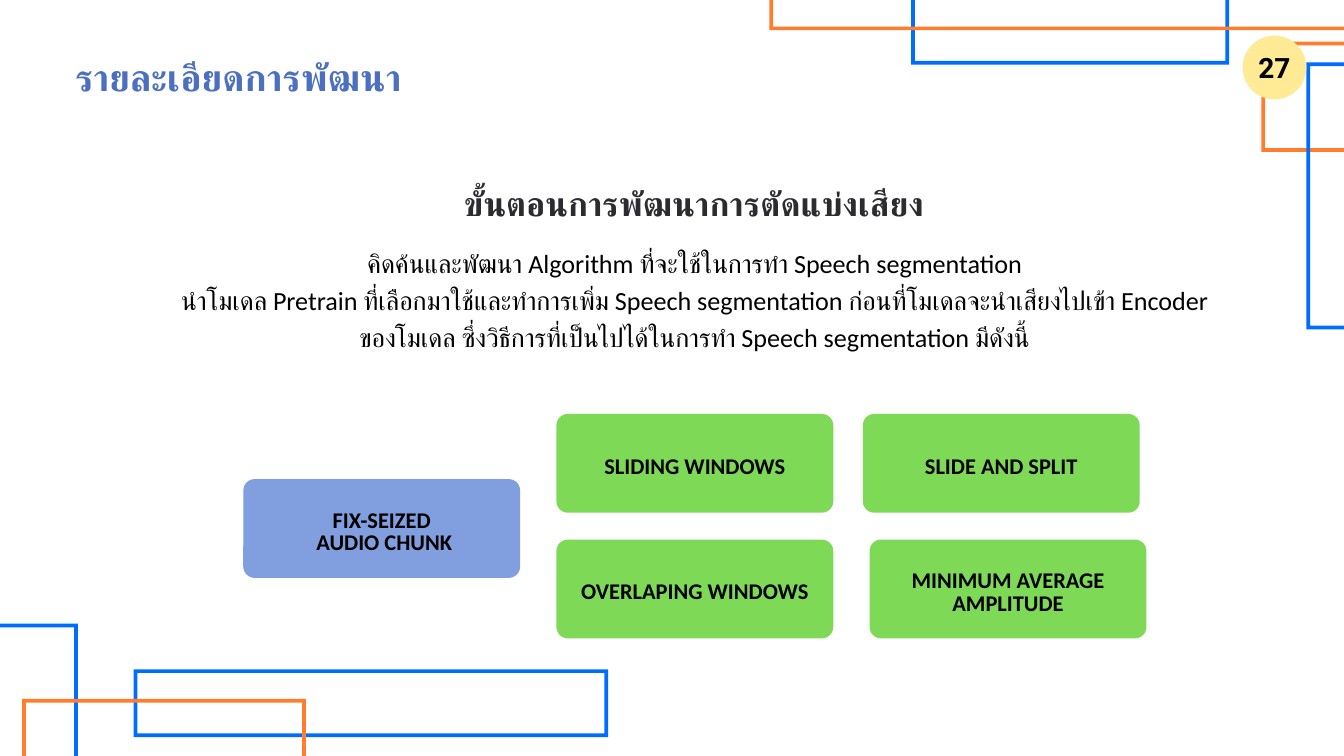
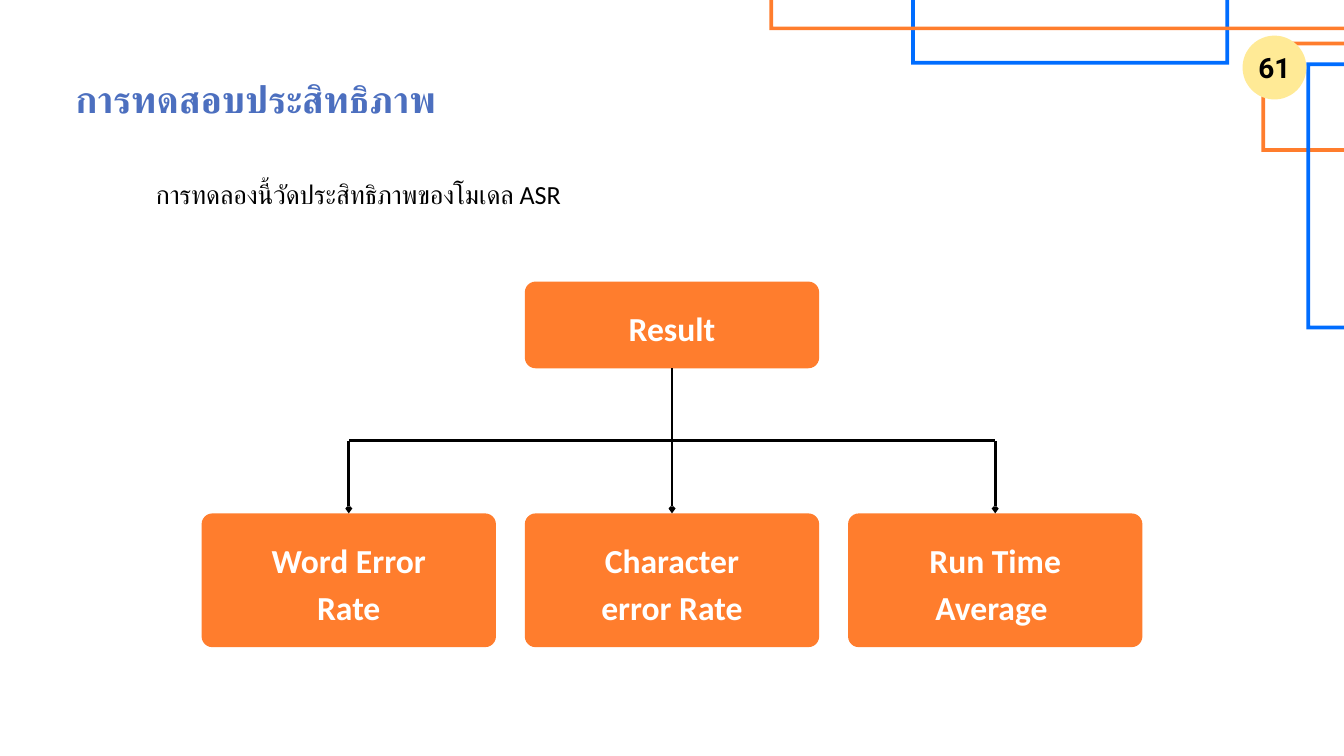
from lxml import etree
from pptx import Presentation
from pptx import util as u
from pptx.dml.color import RGBColor
from pptx.enum import shapes, text
from pptx.oxml.ns import qn

BLUE, ORANGE, YELLOW = "006DFF", "FF7D2D", "FFEA96"
GREEN, PERIWINKLE = "7ED957", "819EDF"
TITLE, HEADING, BLACK, WHITE = "4C6FBF", "2B2C30", "000000", "FFFFFF"
FRAME_WIDTH = 0.055
CENTER = text.PP_ALIGN.CENTER

TOP_FRAMES = [
    (13.56, -0.38, 4.73, 1.34, BLUE),
    (11.45, -0.37, 8.73, 0.82, ORANGE),
    (18.77, 0.62, 1.58, 1.64, ORANGE),
    (19.44, 0.93, 0.91, 3.97, BLUE),
]
BOTTOM_FRAMES = [
    (-0.19, 9.28, 1.35, 2.23, BLUE),
    (1.99, 9.96, 7.06, 1.01, BLUE),
    (0.33, 10.4, 4.22, 1.26, ORANGE),
]


def color(value):
    return RGBColor.from_string(value)


def inches(*values):
    return [u.Inches(value) for value in values]


def write(frame, lines, size, leading, tint, bold=False, align=None,
          font="Calibri", spacing=None, insets=(0, 0, 0, 0),
          anchor=text.MSO_ANCHOR.TOP):
    frame.word_wrap = True
    frame.vertical_anchor = anchor
    (frame.margin_left, frame.margin_top,
     frame.margin_right, frame.margin_bottom) = inches(*insets)
    for index, line in enumerate(lines):
        para = frame.add_paragraph() if index else frame.paragraphs[0]
        para.alignment = align
        para.line_spacing = u.Pt(leading)
        span = para.add_run()
        span.text = line
        span.font.size = u.Pt(size)
        span.font.bold = bold
        span.font.color.rgb = color(tint)
        span.font.name = font
        properties = span.font._element
        for tag in ("a:ea", "a:cs"):
            etree.SubElement(properties, qn(tag)).set("typeface", font)
        if spacing:
            properties.set("spc", str(spacing))


def add_text(page, box, lines, *style, **options):
    write(page.shapes.add_textbox(*inches(*box)).text_frame, lines, *style, **options)


def add_filled(page, kind, box, fill):
    shape = page.shapes.add_shape(kind, *inches(*box))
    shape.shadow.inherit = False
    shape.fill.solid()
    shape.fill.fore_color.rgb = color(fill)
    shape.line.fill.background()
    return shape


def add_card(page, box, fill, radius):
    card = add_filled(page, shapes.MSO_SHAPE.ROUNDED_RECTANGLE, box, fill)
    card.adjustments[0] = radius / min(box[2:])
    return card.text_frame


def add_line(page, start, end, arrow=False):
    line = page.shapes.add_connector(
        shapes.MSO_CONNECTOR.STRAIGHT, *inches(*start, *end))
    line.line.color.rgb = color(BLACK)
    line.line.width = u.Pt(3)
    if arrow:
        head = etree.SubElement(line.line._get_or_add_ln(), qn("a:tailEnd"))
        for name, value in (("type", "arrow"), ("w", "sm"), ("len", "sm")):
            head.set(name, value)
    etree.SubElement(line._element.spPr, qn("a:effectLst"))


def add_frames(page, frames):
    for *box, fill in frames:
        frame = add_filled(page, shapes.MSO_SHAPE.FRAME, box, fill)
        frame.adjustments[0] = FRAME_WIDTH / min(box[2:])


def add_badge(page, box, number):
    badge = add_filled(page, shapes.MSO_SHAPE.OVAL, box, YELLOW)
    write(badge.text_frame, [number], 30, 42, BLACK, bold=True, align=CENTER,
          font="Roboto", insets=(0, 0, 0, 0.09), anchor=text.MSO_ANCHOR.MIDDLE)


def add_base(deck, title, title_top, number, frames):
    page = deck.slides.add_slide(deck.slide_layouts[6])
    add_frames(page, frames)
    add_text(page, (1.12, title_top, 7.31, 0.7), [title], 40, 52, TITLE,
             bold=True, spacing=20)
    add_badge(page, (18.49, 0.53, 0.95, 0.95), number)
    return page


def add_introduction(page, box):
    left, top, width, height = box
    add_text(page, (left, top, width - 0.02, 0.62),
             ["ขั้นตอนการพัฒนาการตัดแบ่งเสียง"], 36, 46.8, HEADING,
             bold=True, align=CENTER, spacing=20)
    add_text(page, (left, top + 0.94, width, height - 0.94), [
        "คิดค้นและพัฒนา Algorithm ที่จะใช้ในการทำ Speech segmentation",
        "นำโมเดล Pretrain ที่เลือกมาใช้และทำการเพิ่ม Speech segmentation "
        "ก่อนที่โมเดลจะนำเสียงไปเข้า Encoder ของโมเดล "
        "ซึ่งวิธีการที่เป็นไปได้ในการทำ Speech segmentation มีดังนี้",
    ], 28, 39.2, BLACK, align=CENTER)


def add_methods(page, box):
    left, top, width, height = box
    card_width, card_height = 4.12, 1.47
    right, bottom = width - card_width, height - card_height
    methods = [
        (4.66, 0, GREEN, ["SLIDING WINDOWS"]),
        (right - 0.1, 0, GREEN, ["SLIDE AND SPLIT"]),
        (4.66, bottom, GREEN, ["OVERLAPING WINDOWS"]),
        (0, 0.97, PERIWINKLE, ["FIX-SEIZED", " AUDIO CHUNK"]),
        (right, bottom, GREEN, ["MINIMUM AVERAGE AMPLITUDE"]),
    ]
    for x, y, fill, lines in methods:
        frame = add_card(page, (left + x, top + y, card_width, card_height), fill, 0.17)
        write(frame, lines, 24, 24.5, BLACK, bold=True, align=CENTER,
              insets=(0.01, 0.13, 0.01, 0.01), anchor=text.MSO_ANCHOR.MIDDLE)


def add_result_tree(page, box, root, metrics):
    left, top, width, height = box
    card_width, root_height, metric_height = 4.38, 1.29, 1.99
    middle = left + width / 2
    root_bottom = top + root_height
    metric_top = top + height - metric_height
    bus = (root_bottom + metric_top) / 2
    step = (width - card_width) / (len(metrics) - 1)

    def add_node(center, y, node_height, label):
        frame = add_card(page, (center - card_width / 2, y, card_width, node_height),
                         ORANGE, 0.16)
        write(frame, [label], 36, 50.4, WHITE, bold=True, align=CENTER,
              insets=(0.78, 0.25, 0.78, 0))

    add_node(middle, top, root_height, root)
    add_line(page, (middle, root_bottom), (middle, bus))
    for index, metric in enumerate(metrics):
        offset = (index - (len(metrics) - 1) / 2) * step
        center = middle + offset
        add_node(center, metric_top, metric_height, metric)
        if offset:
            add_line(page, (middle, bus), (center, bus))
        add_line(page, (center, bus), (center, metric_top), arrow=True)


def build_development(deck):
    page = add_base(deck, "รายละเอียดการพัฒนา", 0.75, "27",
                    TOP_FRAMES + BOTTOM_FRAMES)
    add_introduction(page, (2.39, 2.67, 15.89, 3.1))
    add_methods(page, (3.62, 6.16, 13.44, 3.34))


def build_evaluation(deck):
    page = add_base(deck, "การทดสอบประสิทธิภาพ", 1.08, "61", TOP_FRAMES)
    add_text(page, (2.32, 2.57, 7.21, 0.54),
             ["การทดลองนี้วัดประสิทธิภาพของโมเดล ASR"], 28, 39.2, BLACK)
    add_result_tree(page, (3, 4.19, 14, 5.44), "Result",
                    ["Word Error Rate", "Character error Rate", "Run Time Average "])


def main():
    deck = Presentation()
    deck.slide_width, deck.slide_height = inches(20, 11.25)
    build_development(deck)
    build_evaluation(deck)
    deck.save("out.pptx")


if __name__ == "__main__":
    main()
